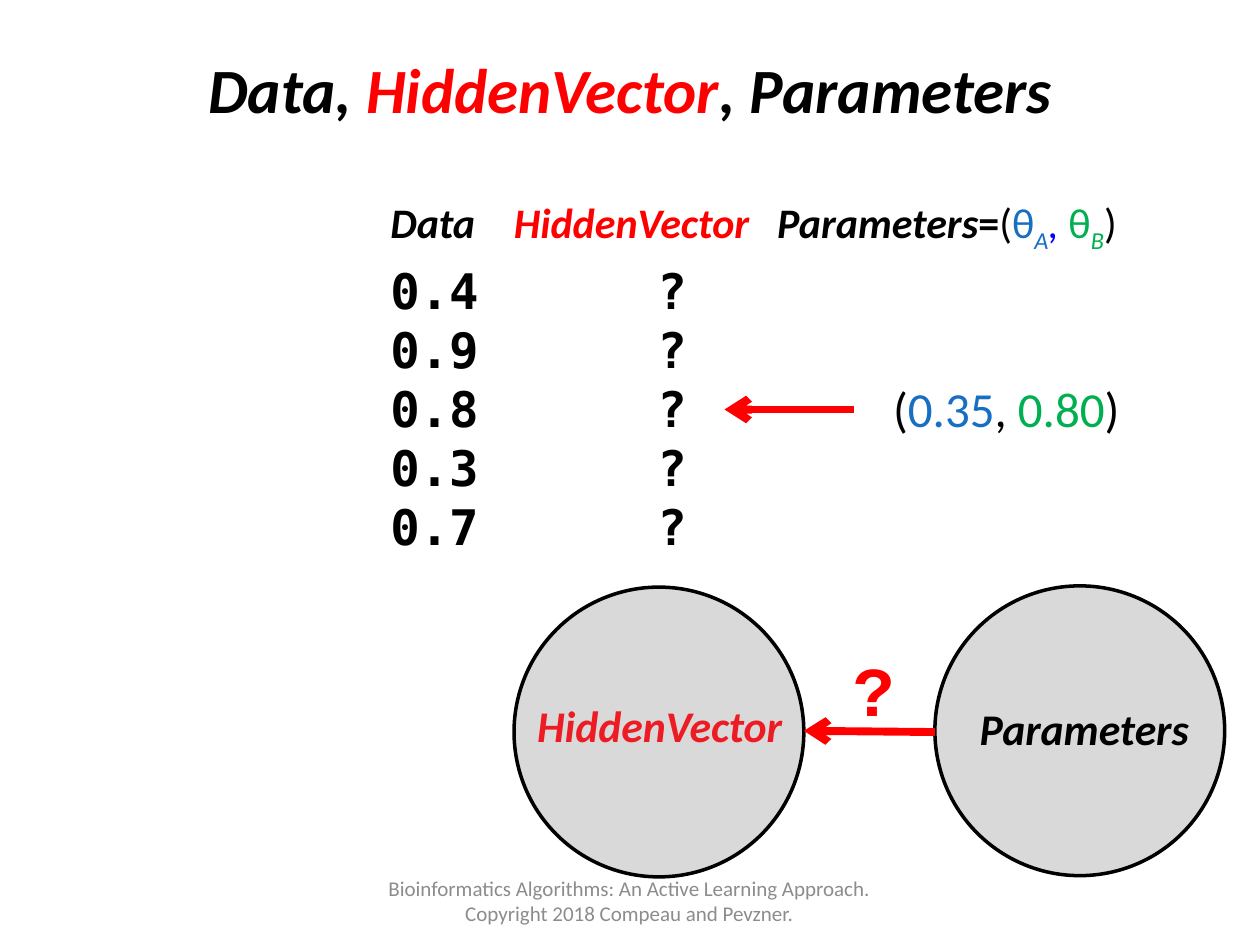
from dataclasses import dataclass

import pptx
import pptx.dml.color
import pptx.enum.shapes
import pptx.enum.text
import pptx.oxml
import pptx.oxml.ns
import pptx.util
from pptx.util import Inches

ALIGN = pptx.enum.text.PP_ALIGN
ANCHOR = pptx.enum.text.MSO_ANCHOR


@dataclass(frozen=True)
class Theme:
    black: str = "000000"
    red: str = "FF0000"
    label_red: str = "ED1C24"
    blue: str = "176FC1"
    comma_blue: str = "0000FF"
    green: str = "00B050"
    disc: str = "D9D9D9"
    footer: str = "8C8C8C"
    sans: str = "Calibri"
    mono: str = "DejaVu Sans Mono"
    courier: str = "Courier New"
    title_size: int = 36
    header_size: int = 24
    data_size: int = 28
    label_size: int = 25
    question_size: int = 40
    footer_size: int = 12


THEME = Theme()


def rgb(value):
    return pptx.dml.color.RGBColor.from_string(value)


def add_run(paragraph, text, size, color=THEME.black, font=THEME.sans,
            bold=False, italic=False, subscript=False):
    run = paragraph.add_run()
    run.text = text
    run.font.size = pptx.util.Pt(size)
    run.font.name = font
    run.font.bold = bold
    run.font.italic = italic
    run.font.color.rgb = rgb(color)
    if subscript:
        run.font._element.set("baseline", "-25000")


def add_text_box(slide, left, top, width, height, anchor=ANCHOR.TOP):
    box = slide.shapes.add_textbox(
        Inches(left), Inches(top), Inches(width), Inches(height))
    box.text_frame.word_wrap = True
    box.text_frame.vertical_anchor = anchor
    return box.text_frame


def add_label(slide, text, left, top, width, height, size, align=ALIGN.CENTER,
              anchor=ANCHOR.TOP, **style):
    paragraph = add_text_box(slide, left, top, width, height, anchor).paragraphs[0]
    paragraph.alignment = align
    add_run(paragraph, text, size, **style)


def set_tabs(paragraph, stops):
    """Place left tab stops, in inches from the text edge."""
    tabs = pptx.oxml.parse_xml(
        f"<a:tabLst {pptx.oxml.ns.nsdecls('a')}>"
        + "".join(f'<a:tab pos="{Inches(stop)}" algn="l"/>' for stop in stops)
        + "</a:tabLst>")
    paragraph._p.get_or_add_pPr().append(tabs)


def add_title(slide):
    title = slide.shapes.title
    title.left, title.top = Inches(0.5), Inches(0.08)
    title.width, title.height = Inches(9), Inches(1.25)
    title.text_frame.vertical_anchor = ANCHOR.MIDDLE
    paragraph = title.text_frame.paragraphs[0]
    paragraph.alignment = ALIGN.CENTER
    for text, color in (("Data, ", THEME.black), ("HiddenVector", THEME.red),
                        (", Parameters", THEME.black)):
        add_run(paragraph, text, THEME.title_size, color, bold=True, italic=True)


def add_header_row(paragraph):
    bold_italic = {"bold": True, "italic": True}
    subscript = {"italic": True, "subscript": True}
    for text, color, style in (
            ("\tData", THEME.black, bold_italic),
            ("\tHiddenVector", THEME.red, bold_italic),
            ("\tParameters", THEME.black, bold_italic),
            ("=", THEME.black, {"bold": True}),
            ("(", THEME.black, {}),
            ("θ", THEME.blue, {}),
            ("A", THEME.blue, subscript),
            (", ", THEME.comma_blue, {"italic": True}),
            ("θ", THEME.green, {}),
            ("B", THEME.green, subscript),
            (")", THEME.black, {})):
        add_run(paragraph, text, THEME.header_size, color, **style)


def add_observations(slide):
    frame = add_text_box(slide, 0.2, 1.5, 9.8, 3.4)
    header = frame.paragraphs[0]
    header.line_spacing = pptx.util.Pt(33.7)
    set_tabs(header, (2.8, 3.78, 5.87))
    add_header_row(header)

    for index, value in enumerate(("0.4", "0.9", "0.8", "0.3", "0.7")):
        row = frame.add_paragraph()
        row.line_spacing = pptx.util.Pt(33.7)
        if index == 0:
            row.space_before = pptx.util.Pt(3.6)
        set_tabs(row, (2.8, 4.92, 6.79))
        add_run(row, f"\t{value}\t?", THEME.data_size, font=THEME.mono, bold=True)
        if value == "0.8":
            for text, color in (("\t(", THEME.black), ("0.35", THEME.blue),
                                (", ", THEME.black), ("0.80", THEME.green),
                                (")", THEME.black)):
                add_run(row, text, THEME.data_size, color)


def add_disc(slide, left, top, diameter=2.3):
    disc = slide.shapes.add_shape(
        pptx.enum.shapes.MSO_SHAPE.OVAL,
        Inches(left), Inches(top), Inches(diameter), Inches(diameter))
    disc.shadow.inherit = False
    disc.fill.solid()
    disc.fill.fore_color.rgb = rgb(THEME.disc)
    disc.line.color.rgb = rgb(THEME.black)
    disc.line.width = pptx.util.Pt(2)


def add_arrow(slide, tip, tail):
    arrow = slide.shapes.add_connector(
        pptx.enum.shapes.MSO_CONNECTOR.STRAIGHT,
        *(Inches(value) for value in (*tip, *tail)))
    arrow.line.color.rgb = rgb(THEME.red)
    arrow.line.width = pptx.util.Pt(4.5)
    namespace = pptx.oxml.ns.nsdecls("a")
    arrow.line._get_or_add_ln().append(
        pptx.oxml.parse_xml(f'<a:headEnd {namespace} type="arrow"/>'))
    arrow._element.spPr.append(pptx.oxml.parse_xml(f"<a:effectLst {namespace}/>"))


def main():
    presentation = pptx.Presentation()
    presentation.slide_width = Inches(10)
    presentation.slide_height = Inches(7.5)
    slide = presentation.slides.add_slide(presentation.slide_layouts[5])

    add_title(slide)
    add_observations(slide)

    add_disc(slide, 7.42, 4.65)
    add_label(slide, "Parameters", 7.48, 5.52, 2.25, 0.52, THEME.label_size,
              bold=True, italic=True)
    add_disc(slide, 4.08, 4.66)
    add_label(slide, "HiddenVector", 4.07, 5.5, 2.33, 0.52, THEME.label_size,
              color=THEME.label_red, bold=True, italic=True)

    add_arrow(slide, tip=(6.38, 5.8), tail=(7.42, 5.81))
    add_arrow(slide, tip=(5.75, 3.25), tail=(6.78, 3.25))
    add_label(slide, "?", 6.67, 5.08, 0.58, 0.77, THEME.question_size,
              align=ALIGN.LEFT, color=THEME.red, font=THEME.courier, bold=True)
    add_label(slide, "Bioinformatics Algorithms: An Active Learning Approach. "
              "Copyright 2018 Compeau and Pevzner.", 2.83, 6.95, 4.33, 0.4,
              THEME.footer_size, anchor=ANCHOR.MIDDLE, color=THEME.footer)

    presentation.save("out.pptx")


if __name__ == "__main__":
    main()
